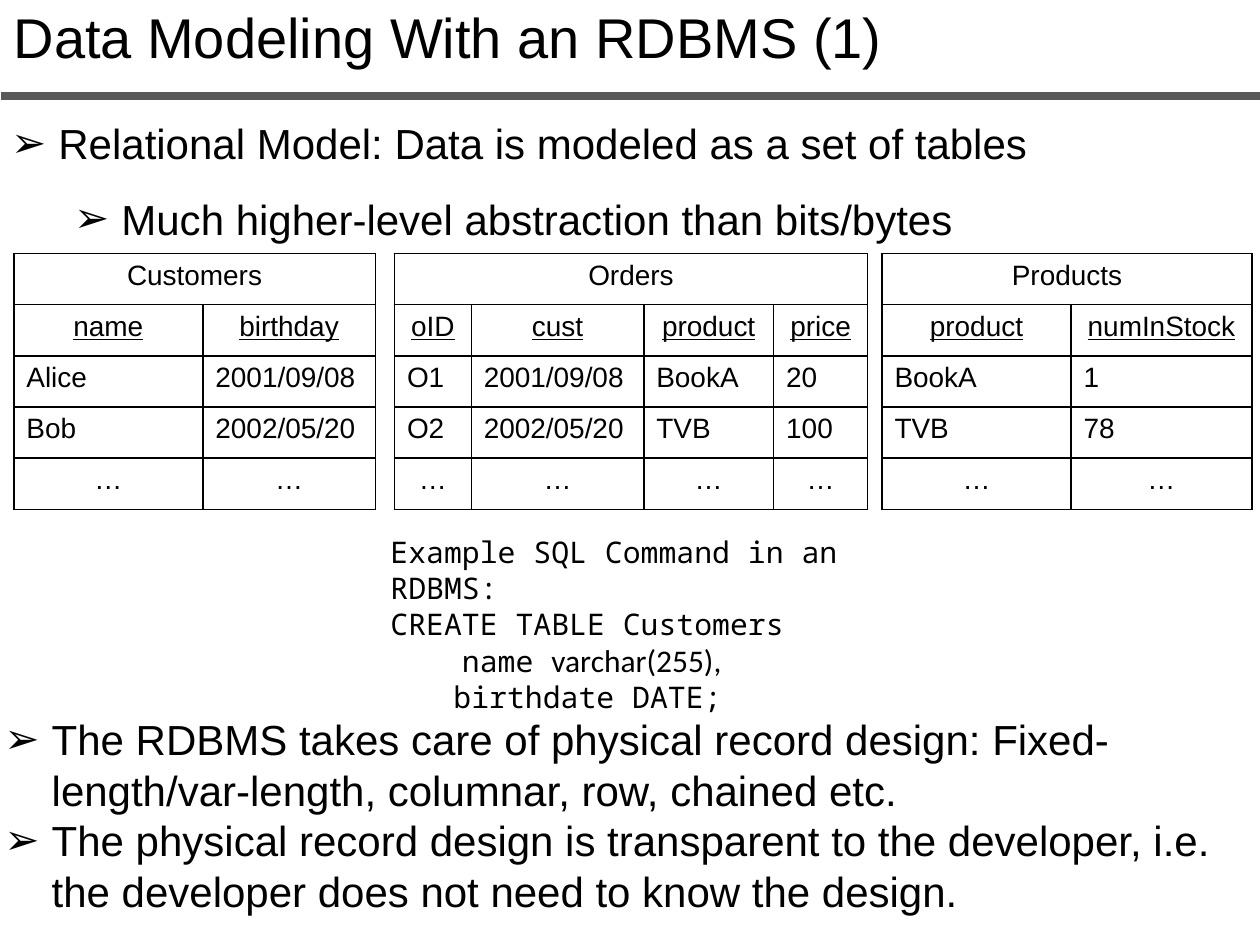
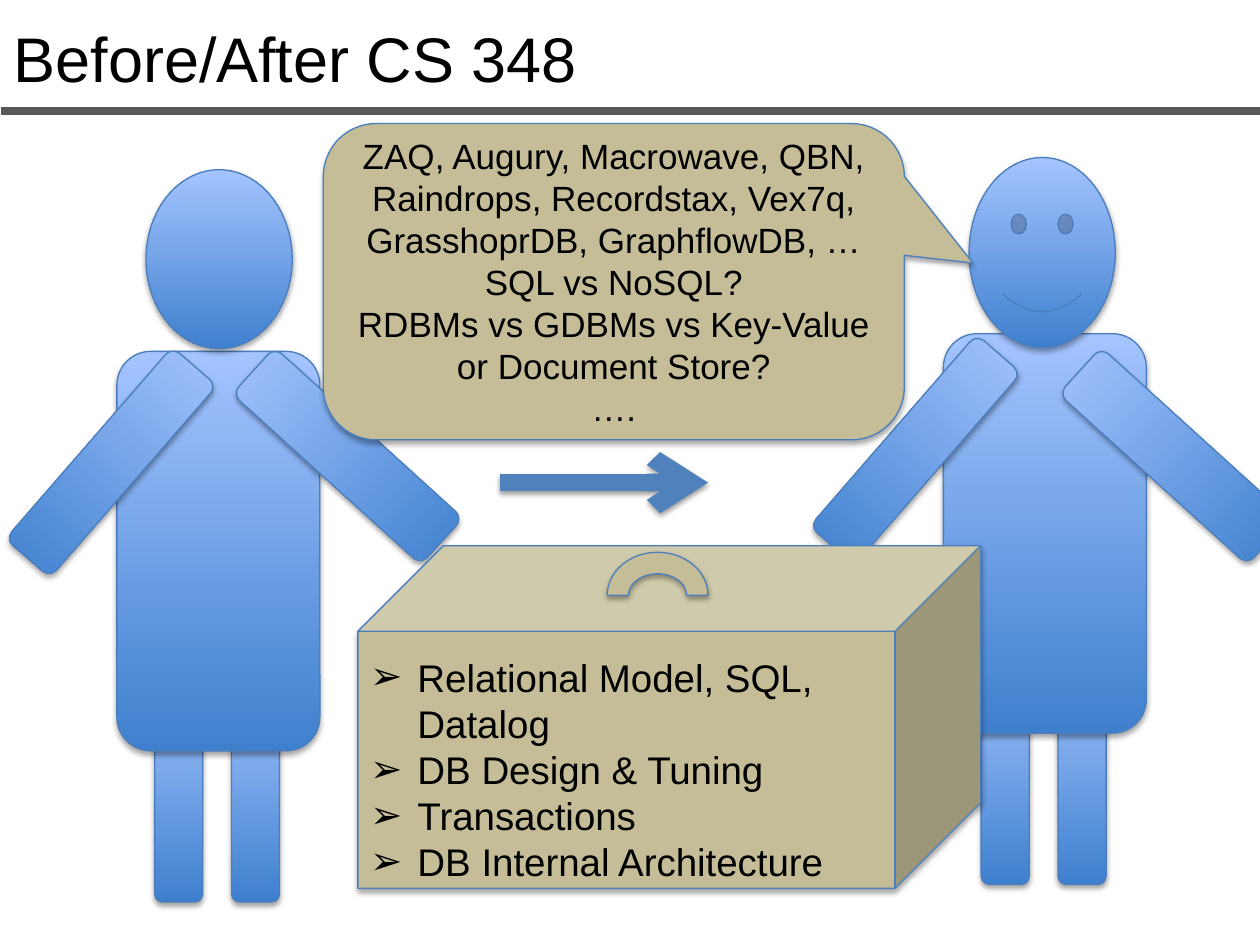
"""Build two database course slides: relational tables and a before/after scene."""
from dataclasses import dataclass

from lxml import etree
from pptx import Presentation
from pptx.dml.color import RGBColor
from pptx.enum.shapes import MSO_CONNECTOR, MSO_SHAPE
from pptx.enum.text import MSO_ANCHOR, PP_ALIGN
from pptx.oxml.ns import qn
from pptx.util import Pt

CENTER, LEFT = PP_ALIGN.CENTER, PP_ALIGN.LEFT
MIDDLE, TOP = MSO_ANCHOR.MIDDLE, MSO_ANCHOR.TOP
STRAIGHT = MSO_CONNECTOR.STRAIGHT
ROUND, OVAL = MSO_SHAPE.ROUNDED_RECTANGLE, MSO_SHAPE.OVAL
SMILE, CUBE = MSO_SHAPE.SMILEY_FACE, MSO_SHAPE.CUBE
ARC, CALLOUT = MSO_SHAPE.BLOCK_ARC, MSO_SHAPE.ROUNDED_RECTANGULAR_CALLOUT


@dataclass(frozen=True)
class Theme:
    ink: str = "000000"
    rule: str = "595959"
    edge: str = "4B7EBC"
    arrow: str = "4F81BD"
    tan: str = "C4BD97"
    deep: str = "3F80CE"
    pale: str = "A4C4FF"
    sans: str = "Arial"
    mono: str = "Noto Sans Mono"
    alt: str = "Calibri"
    scene: int = 36
    model: int = 32
    body: int = 24
    list: int = 22
    talk: int = 20
    type: int = 18
    code: int = 17
    cell: int = 16


THEME = Theme()
WIDE, HIGH = 720, 540
INDENT = 27
ROW = 29.24

MODEL = {
    "title": "Data Modeling With an RDBMS (1)",
    "points": [
        "Relational Model: Data is modeled as a set of tables",
        "Much higher-level abstraction than bits/bytes",
    ],
    "code": [
        "Example SQL Command in an RDBMS:",
        "CREATE TABLE Customers",
        "    name ",
        "birthdate DATE;",
    ],
    "type": "varchar(255),",
    "notes": [
        "The RDBMS takes care of physical record design: "
        "Fixed-length/var-length, columnar, row, chained etc.",
        "The physical record design is transparent to the developer, i.e. "
        "the developer does not need to know the design.",
    ],
}

TABLES = [
    (7.9, "Customers", (108, 98.6), [
        ("name", "birthday"),
        ("Alice", "2001/09/08"),
        ("Bob", "2002/05/20"),
    ]),
    (225.4, "Orders", (43.9, 98.6, 74.2, 53.7), [
        ("oID", "cust", "product", "price"),
        ("O1", "2001/09/08", "BookA", "20"),
        ("O2", "2002/05/20", "TVB", "100"),
    ]),
    (504, "Products", (108, 103.4), [
        ("product", "numInStock"),
        ("BookA", "1"),
        ("TVB", "78"),
    ]),
]

SCENE = {
    "title": "Before/After CS 348",
    "topics": [
        "Relational Model, SQL, Datalog",
        "DB Design & Tuning",
        "Transactions",
        "DB Internal Architecture",
    ],
    "talk": [
        "ZAQ, Augury, Macrowave, QBN, Raindrops, Recordstax, Vex7q, "
        "GrasshoprDB, GraphflowDB, …",
        "SQL vs NoSQL?",
        "RDBMs vs GDBMs vs Key-Value or Document Store?",
        "….",
    ],
}

LEG, BODY, ARM, WING = (27.5, 126.7), (116, 228.3), (33.8, 145.4), (36, 145.4)
BEFORE = [
    (ROUND, (88.4, 388.8), LEG, 0),
    (ROUND, (132.3, 388.8), LEG, 0),
    (ROUND, (66.8, 200.8), BODY, 0),
    (ROUND, (46.6, 191.5), ARM, 41),
    (OVAL, (83.4, 97), (83.6, 102.3), 0),
    (ROUND, (180.7, 187.9), WING, 312.2),
]
AFTER = [
    (ROUND, (560.7, 378.7), LEG, 0),
    (ROUND, (604.6, 378.7), LEG, 0),
    (ROUND, (539.1, 190.7), BODY, 0),
    (ROUND, (506.2, 184.3), ARM, 41),
    (SMILE, (553.8, 90), (83.5, 108.6), 0),
    (ROUND, (653, 187.9), WING, 312.2),
]


def tint(hue):
    return RGBColor.from_string(hue)


def pts(*nums):
    return [Pt(num) for num in nums]


def style(run, size, face=THEME.sans):
    run.font.size = Pt(size)
    run.font.name = face
    run.font.color.rgb = tint(THEME.ink)


def write(frame, lines, size, face=THEME.sans, align=LEFT):
    frame.word_wrap = True
    frame.text = "\n".join(lines)
    for para in frame.paragraphs:
        para.alignment = align
        for run in para.runs:
            style(run, size, face)


def bullet(para, level=0):
    prop = para._p.get_or_add_pPr()
    prop.set("marL", str(Pt(INDENT + 36 * level)))
    prop.set("indent", str(-Pt(INDENT)))
    para.level = level
    etree.SubElement(prop, qn("a:buFont"), typeface=THEME.sans)
    etree.SubElement(prop, qn("a:buChar"), char="➢")


def box(slide, at, lines, size, face=THEME.sans):
    frame = slide.shapes.add_textbox(*pts(*at)).text_frame
    frame.vertical_anchor = TOP
    write(frame, lines, size, face)
    return frame


def shade(shape, alpha=35, dist=1.8):
    prop = shape._element.spPr
    for old in prop.findall(qn("a:effectLst")):
        prop.remove(old)
    group = etree.SubElement(prop, qn("a:effectLst"))
    if not alpha:
        return
    cast = etree.SubElement(
        group, qn("a:outerShdw"), blurRad=str(Pt(3.1)), dist=str(Pt(dist)),
        dir="5400000", rotWithShape="0")
    hue = etree.SubElement(cast, qn("a:srgbClr"), val=THEME.ink)
    etree.SubElement(hue, qn("a:alpha"), val=str(alpha * 1000))


def line(slide, start, end, hue, width):
    link = slide.shapes.add_connector(STRAIGHT, *pts(*start, *end))
    link.line.color.rgb = tint(hue)
    link.line.width = Pt(width)
    shade(link, 0)
    return link


def head(slide, title, at, size, level):
    box(slide, at, [title], size)
    line(slide, (0.7, level), (WIDE + 0.7, level), THEME.rule, 4.5)


def solid(slide, kind, at, hue=None, turn=0):
    shape = slide.shapes.add_shape(kind, *pts(*at))
    shape.rotation = turn
    if hue:
        shape.fill.solid()
        shape.fill.fore_color.rgb = tint(hue)
    else:
        shape.fill.gradient()
        shape.fill.gradient_angle = 90
        for stop, tone in zip(shape.fill.gradient_stops, (THEME.deep, THEME.pale)):
            stop.color.rgb = tint(tone)
    shape.line.color.rgb = tint(THEME.edge)
    shape.line.width = Pt(0.75)
    shape.shadow.inherit = False
    shade(shape)
    return shape


def border(cell):
    prop = cell._tc.get_or_add_tcPr()
    for side in ("a:lnL", "a:lnR", "a:lnT", "a:lnB"):
        edge = etree.SubElement(prop, qn(side), w=str(Pt(1)))
        fill = etree.SubElement(edge, qn("a:solidFill"))
        etree.SubElement(fill, qn("a:srgbClr"), val=THEME.ink)
    cell.fill.background()


def table(slide, left, name, widths, rows):
    count = len(widths)
    grid = [(name,) + ("",) * (count - 1), *rows, ("…",) * count]
    at = pts(left, 144.9, sum(widths), ROW * len(grid))
    tab = slide.shapes.add_table(len(grid), count, *at).table
    tab.first_row = tab.horz_banding = False
    for col, width in zip(tab.columns, widths):
        col.width = Pt(width)
    for num, row in enumerate(grid):
        tab.rows[num].height = Pt(ROW)
        align = LEFT if num in (2, 3) else CENTER
        for col, text in enumerate(row):
            cell = tab.cell(num, col)
            border(cell)
            write(cell.text_frame, [text], THEME.cell, align=align)
            for run in cell.text_frame.paragraphs[0].runs:
                run.font.underline = num == 1
    tab.cell(0, 0).merge(tab.cell(0, count - 1))


def model(slide):
    head(slide, MODEL["title"], (0.7, -2.3, WIDE, 46), THEME.model, 54.7)
    for part in TABLES:
        table(slide, *part)
    points = box(slide, (-0.7, 49.2, WIDE, 89), MODEL["points"], THEME.body)
    for level, para in enumerate(points.paragraphs):
        bullet(para, level)
        para.line_spacing = 1.5
    code = box(slide, (216, 301.7, 320, 91), MODEL["code"], THEME.code, THEME.mono)
    kind = code.paragraphs[2].add_run()
    kind.text = MODEL["type"]
    style(kind, THEME.type, THEME.alt)
    code.paragraphs[3]._p.get_or_add_pPr().set("marL", str(Pt(36)))
    notes = box(slide, (-4.5, 404.4, WIDE, 124), MODEL["notes"], THEME.body)
    for para in notes.paragraphs:
        bullet(para)


def scene(slide):
    head(slide, SCENE["title"], (0.7, 7.4, 620, 51), THEME.scene, 63.4)
    for kind, spot, size, turn in BEFORE + AFTER:
        solid(slide, kind, spot + size, turn=turn)
    link = line(slide, (285.8, 275.8), (404.6, 275.8), THEME.arrow, 10)
    etree.SubElement(link.line._get_or_add_ln(), qn("a:tailEnd"), type="arrow")
    shade(link, 38, 1.6)
    solid(slide, CUBE, (204.5, 311.8, 355.9, 195.8), THEME.tan)
    solid(slide, ARC, (347, 315.6, 57.6, 49), THEME.tan)
    topics = box(slide, (204.5, 369.9, 312.5, 140), SCENE["topics"], THEME.list)
    for para in topics.paragraphs:
        bullet(para)
    talk = solid(slide, CALLOUT, (184.8, 70.6, 332, 180.7), THEME.tan)
    for num, value in enumerate((0.618, -0.059, 0.167)):
        talk.adjustments[num] = value
    talk.text_frame.vertical_anchor = MIDDLE
    write(talk.text_frame, SCENE["talk"], THEME.talk, align=CENTER)


def main():
    deck = Presentation()
    deck.slide_width, deck.slide_height = pts(WIDE, HIGH)
    for draw in (model, scene):
        draw(deck.slides.add_slide(deck.slide_layouts[6]))
    deck.save("out.pptx")


if __name__ == "__main__":
    main()
